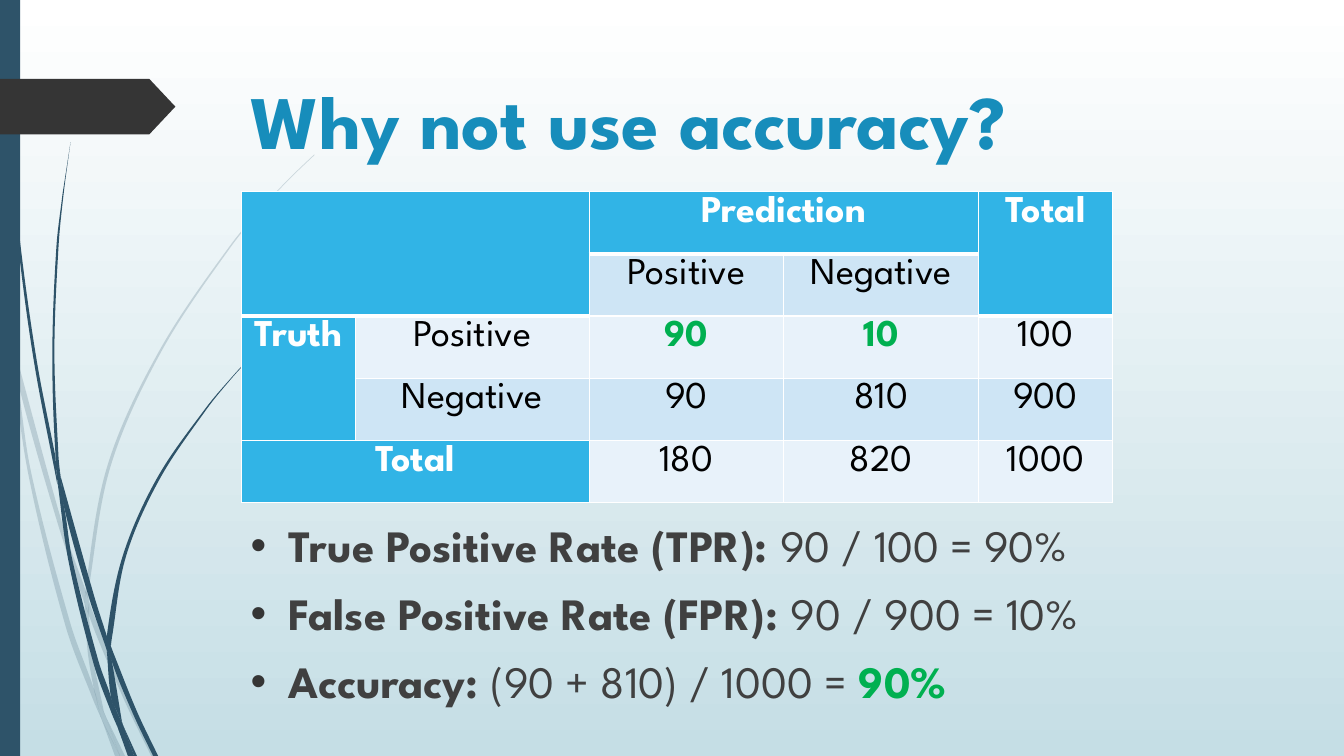
from math import dist

from lxml import etree
from pptx import Presentation
from pptx.dml.color import RGBColor
from pptx.enum.shapes import MSO_SHAPE
from pptx.enum.text import MSO_ANCHOR, PP_ALIGN
from pptx.oxml import parse_xml
from pptx.oxml.ns import nsdecls, qn
from pptx.util import Pt

RECTANGLE, PENTAGON = MSO_SHAPE.RECTANGLE, MSO_SHAPE.PENTAGON
LEFT, CENTER, TOP = PP_ALIGN.LEFT, PP_ALIGN.CENTER, MSO_ANCHOR.TOP
FONT = "League Spartan"
WHITE = RGBColor(0xFF, 0xFF, 0xFF)
BLACK = RGBColor(0, 0, 0)
MIST = RGBColor(0xC5, 0xDE, 0xE5)
NAVY = RGBColor(0x2E, 0x53, 0x69)
CHARCOAL = RGBColor(0x35, 0x35, 0x35)
GRAY = RGBColor(0x40, 0x40, 0x40)
TITLE_BLUE = RGBColor(0x17, 0x8D, 0xBB)
HEADER_BLUE = RGBColor(0x31, 0xB4, 0xE6)
BAND_DARK = RGBColor(0xCE, 0xE5, 0xF5)
BAND_LIGHT = RGBColor(0xE8, 0xF2, 0xFA)
GREEN = RGBColor(0x00, 0xB0, 0x50)

# Each blade of grass has two curved edges, in points
FAINT_BLADES = [
    ([(7.9, 252), (6.5, 231.8), (0, 203)], [(0, 215.3), (7.2, 247.7), (7.9, 252)]),
    ([(10.1, 248.4), (12.2, 270.7), (41.8, 375.8), (60.5, 431.3)],
     [(61.2, 421.9), (44.6, 374.4), (10.1, 248.4)]),
    ([(63.4, 429.1), (63.4, 439.2), (88.6, 499.7), (108, 540)],
     [(111.6, 540), (91.4, 498.2), (66.2, 437), (63.4, 429.1)]),
    ([(75.6, 511.9), (85.7, 540)], [(89.3, 540), (75.6, 511.9)]),
    ([(7.9, 252), (20.2, 338.4), (46.8, 447.1), (66.2, 499), (72.7, 514.1)],
     [(71.3, 509), (67, 491.8), (50.4, 445.7), (22.3, 337.7), (12.2, 270.7), (7.9, 252)]),
    ([(60.5, 431.3), (62.6, 465.1), (67, 491.8), (69.1, 498.2), (75.6, 511.9)],
     [(74.2, 508.3), (65.5, 465.1), (63.4, 439.2), (60.5, 431.3)]),
    ([(63.4, 429.1), (63.4, 420.5), (79.2, 332.6), (115.2, 251.3), (164.9, 176.4),
      (193, 142.6), (208.8, 126), (224.6, 110.9)],
     [(224.6, 110.2), (208.1, 126), (193, 141.8), (164.2, 175.7), (113.8, 250.6),
      (77, 331.9), (61.2, 420.5), (63.4, 429.1)]),
    ([(72.7, 514.1), (82.1, 540)], [(85.7, 540), (72.7, 514.1)]),
    ([(60.5, 431.3), (63.4, 439.2)], [(63.4, 429.1), (61.2, 421.9), (60.5, 431.3)]),
    ([(67, 491.8), (71.3, 509), (72.7, 514.1), (85.7, 540)],
     [(75.6, 511.9), (69.1, 498.2), (67, 491.8)]),
]
SOLID_BLADES = [
    ([(2.2, 0), (2.9, 34.6), (5, 79.2), (12.2, 167.8), (23.8, 255.6), (41, 346.3)],
     [(39.6, 326.2), (25.9, 255.6), (13.7, 167), (5.8, 78.5), (3.6, 34.6), (2.9, 0)]),
    ([(43.2, 339.8), (46.1, 363.6), (63.4, 426.2), (76.3, 464.4)],
     [(76.3, 454.3), (67, 424.8), (43.2, 339.8)]),
    ([(79.2, 461.5), (79.9, 472.3), (95, 509.8), (109.4, 540)],
     [(113, 540), (97.9, 508.3), (81.4, 467.3), (79.2, 461.5)]),
    ([(41, 343.4), (49, 401), (67, 474.5), (79.9, 509.8), (84.2, 519.8)],
     [(83.5, 516.2), (79.2, 497.5), (70.6, 473), (51.8, 400.3), (46.1, 363.6), (41, 343.4)]),
    ([(43.2, 339.8), (41.8, 326.2), (38.9, 251.3), (41.8, 176.4), (45.4, 139), (50.4, 101.5)],
     [(44.6, 139), (40.3, 176.4), (37.4, 251.3), (39.6, 323.3), (43.2, 339.8)]),
    ([(87.8, 517.7), (95.8, 540)], [(97.9, 540), (87.8, 517.7)]),
    ([(39.6, 323.3), (41, 343.4), (46.1, 363.6)], [(43.2, 339.8), (39.6, 323.3)]),
    ([(79.2, 461.5), (79.9, 455.8), (90, 397.4), (113.8, 342.7), (147.6, 292.3),
      (166.3, 269.3), (176.4, 258.5), (187.9, 247.7)],
     [(187.2, 247.7), (176.4, 257.8), (166.3, 268.6), (146.9, 291.6), (112.3, 341.3),
      (87.8, 396.7), (76.3, 454.3), (79.2, 461.5)]),
    ([(84.2, 519.8), (91.4, 540)], [(94.3, 540), (84.2, 519.8)]),
    ([(76.3, 464.4), (79.2, 497.5), (83.5, 508.3), (87.8, 517.7)],
     [(87.1, 515.5), (79.9, 472.3), (78.5, 468.7), (76.3, 464.4)]),
    ([(76.3, 464.4), (79.9, 472.3)], [(79.2, 461.5), (76.3, 454.3), (76.3, 464.4)]),
    ([(79.2, 497.5), (84.2, 519.8), (93.6, 540)],
     [(95.8, 540), (87.8, 517.7), (83.5, 508.3), (79.2, 497.5)]),
]


def curve_handles(knots):
    """Return the two Bezier handles of each segment of a smooth curve."""
    tangents = []
    for i in range(len(knots)):
        around = knots[max(i - 1, 0):i + 2]
        length = sum(dist(a, b) for a, b in zip(around, around[1:]))
        tangents.append([(b - a) / length for a, b in zip(around[0], around[-1])])
    handles = []
    for p, q, u, v in zip(knots, knots[1:], tangents, tangents[1:]):
        reach = dist(p, q) / 3
        handles.append(([a + reach * d for a, d in zip(p, u)],
                        [b - reach * d for b, d in zip(q, v)]))
    return handles


def paint(shape, color):
    shape.shadow.inherit = False
    shape.fill.solid()
    shape.fill.fore_color.rgb = color
    shape.line.fill.background()


prs = Presentation()
prs.slide_width, prs.slide_height = Pt(960), Pt(540)
slide = prs.slides.add_slide(prs.slide_layouts[5])
shapes = slide.shapes

backdrop = slide.background.fill
backdrop.gradient()
backdrop.gradient_angle = 270
for stop, position, color in zip(backdrop.gradient_stops, (0, 1), (WHITE, MIST)):
    stop.position, stop.color.rgb = position, color

for blades, opacity in ((FAINT_BLADES, 20), (SOLID_BLADES, 100)):
    for there, back in blades:
        outline = [(Pt(x), Pt(y)) for x, y in there + back]
        builder = shapes.build_freeform(*outline[0])
        builder.add_line_segments(outline[1:])
        blade = builder.convert_to_shape()
        paint(blade, NAVY)
        # The short cap between the two edges stays straight
        bends = curve_handles(there) + [()] + curve_handles(back)
        for segment, handles in zip(list(blade.element.iter(qn("a:lnTo"))), bends):
            if handles:
                segment.tag = qn("a:cubicBezTo")
            for i, (x, y) in enumerate(handles):
                segment.insert(i, etree.Element(
                    qn("a:pt"), x=str(Pt(x) - blade.left), y=str(Pt(y) - blade.top)))
        if opacity < 100:
            tint = blade.element.spPr.find(qn("a:solidFill"))[0]
            etree.SubElement(tint, qn("a:alpha"), val=str(opacity * 1000))

side_bar = shapes.add_shape(RECTANGLE, 0, 0, Pt(14.4), Pt(540))
paint(side_bar, NAVY)
page_tag = shapes.add_shape(PENTAGON, 0, Pt(56.3), Pt(125.3), Pt(39.8))
page_tag.adjustments[0] = 0.47
paint(page_tag, CHARCOAL)

title = shapes.title
shapes.element.append(title.element)
title.left, title.top, title.width, title.height = Pt(172), Pt(49), Pt(702), Pt(86.4)
title.text_frame.text = "Why not use accuracy?"
title.text_frame.vertical_anchor = TOP
heading = title.text_frame.paragraphs[0]
heading.alignment = LEFT
heading.font.name, heading.font.size, heading.font.bold = FONT, Pt(54), True
heading.font.color.rgb = TITLE_BLUE

COUNTS = [
    ["", "", "Prediction", "", "Total"],
    ["", "", "Positive", "Negative", ""],
    ["Truth", "Positive", "90", "10", "100"],
    ["", "Negative", "90", "810", "900"],
    ["Total", "", "180", "820", "1000"],
]
HEADERS = {(0, 0), (0, 1), (0, 2), (0, 3), (0, 4), (1, 0), (1, 1), (1, 4),
           (2, 0), (3, 0), (4, 0), (4, 1)}
HIGHLIGHTS = {(2, 2), (2, 3)}
MERGES = [((0, 0), (1, 1)), ((0, 2), (0, 3)), ((0, 4), (1, 4)),
          ((2, 0), (3, 0)), ((4, 0), (4, 1))]

matrix = shapes.add_table(5, 5, Pt(172.4), Pt(136.8), Pt(623), Pt(222.5)).table
for column, width in zip(matrix.columns, (81.5, 167, 139, 139, 96)):
    column.width = Pt(width)
for r, row in enumerate(COUNTS):
    matrix.rows[r].height = Pt(44.5)
    for c, text in enumerate(row):
        cell = matrix.cell(r, c)
        is_header, is_highlight = (r, c) in HEADERS, (r, c) in HIGHLIGHTS
        cell.margin_left = cell.margin_right = Pt(5.8)
        cell.margin_top = cell.margin_bottom = Pt(2.9)
        cell.text_frame.text = text
        label = cell.text_frame.paragraphs[0]
        label.alignment = CENTER
        label.font.name, label.font.size = FONT, Pt(27)
        label.font.bold = is_header or is_highlight
        label.font.color.rgb = WHITE if is_header else GREEN if is_highlight else BLACK
        bottom = 3 if is_header and r < 2 else 1
        borders = [("lnL", 1), ("lnR", 1), ("lnB", bottom)]
        if r == 0:
            borders.insert(2, ("lnT", 1))
        for side, weight in borders:
            cell._tc.get_or_add_tcPr().append(parse_xml(
                f'<a:{side} {nsdecls("a")} w="{Pt(weight)}"><a:solidFill>'
                f'<a:srgbClr val="{WHITE}"/></a:solidFill></a:{side}>'))
        cell.fill.solid()
        cell.fill.fore_color.rgb = HEADER_BLUE if is_header else BAND_DARK if r % 2 else BAND_LIGHT
for first, last in MERGES:
    matrix.cell(*first).merge(matrix.cell(*last))

RATES = [
    [("True Positive Rate (TPR): ", True, GRAY), ("90 / 100 = 90%", False, GRAY)],
    [("False Positive Rate (FPR): ", True, GRAY), ("90 / 900 = 10%", False, GRAY)],
    [("Accuracy: ", True, GRAY), ("(90 + 810) / 1000 = ", False, GRAY), ("90%", True, GREEN)],
]
rates = shapes.add_textbox(Pt(172), Pt(366.5), Pt(710.6), Pt(164)).text_frame
rates.word_wrap = True
rates.vertical_anchor = TOP
for i, parts in enumerate(RATES):
    rate = rates.paragraphs[0] if i == 0 else rates.add_paragraph()
    rate.space_before = Pt(10)
    properties = rate._p.get_or_add_pPr()
    properties.set("marL", str(Pt(27)))
    properties.set("indent", str(Pt(-27)))
    bullet_color = etree.SubElement(properties, qn("a:buClr"))
    etree.SubElement(bullet_color, qn("a:srgbClr"), val=str(CHARCOAL))
    etree.SubElement(properties, qn("a:buFont"), typeface="Arial")
    etree.SubElement(properties, qn("a:buChar"), char="•")
    for text, bold, color in parts:
        run = rate.add_run()
        run.text = text
        run.font.name, run.font.size, run.font.bold = FONT, Pt(32), bold
        run.font.color.rgb = color

prs.save("out.pptx")
